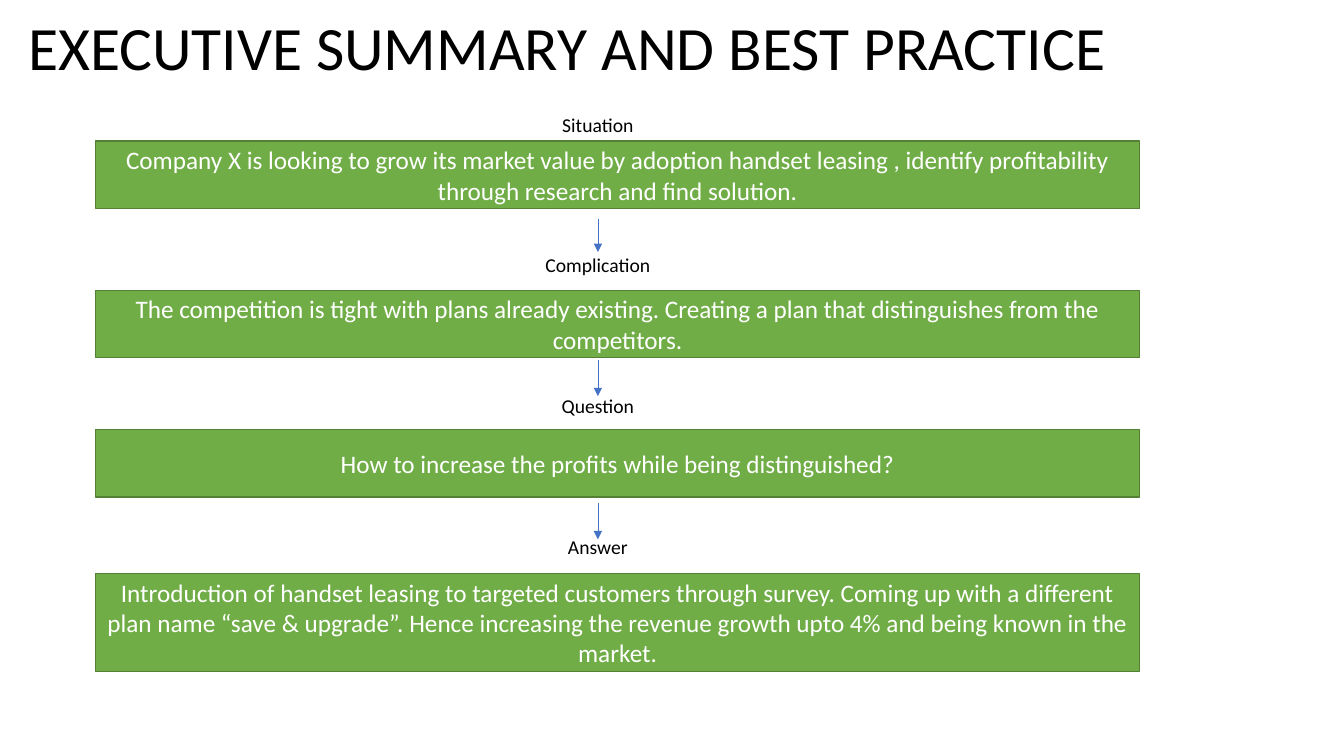
from pptx import Presentation
from pptx.dml.color import RGBColor
from pptx.enum.shapes import MSO_CONNECTOR as CONN, MSO_SHAPE as SHAPE
from pptx.enum.text import MSO_ANCHOR as ANCHOR, PP_ALIGN as ALIGN
from pptx.oxml.ns import qn
from pptx.util import Inches, Pt
from lxml import etree

COLORS = {"text": "000000", "box": "70AD47", "edge": "538035",
          "box_text": "FFFFFF", "arrow": "4472C4"}

LABEL_TOP, LABEL_PITCH = 1.1, 1.395
TEXT_LEFT, TEXT_WIDTH = 0.18, 11.5
BOX_LEFT, BOX_WIDTH = 0.95, 10.35
ARROW_X = TEXT_LEFT + TEXT_WIDTH / 2

# Label, statement, box top, box height
STEPS = [
    ("Situation", "Company X is looking to grow its market value by adoption handset "
     "leasing , identify profitability through research and find solution.", 1.4, 0.67),
    ("Complication", "The competition is tight with plans already existing. Creating a "
     "plan that distinguishes from the competitors.", 2.88, 0.67),
    ("Question", "How to increase the profits while being distinguished?", 4.26, 0.67),
    ("Answer", "Introduction of handset leasing to targeted customers through survey. "
     "Coming up with a different plan name “save & upgrade”. Hence increasing the "
     "revenue growth upto 4% and being known in the market.", 5.69, 0.97),
]
ARROWS = [(2.17, 2.5), (3.57, 3.93), (4.99, 5.35)]


def rgb(name):
    return RGBColor.from_string(COLORS[name])


def write(sp, text, size, color, align, spacing=1.0):
    tf = sp.text_frame
    tf.word_wrap = True
    tf.vertical_anchor = ANCHOR.MIDDLE
    p = tf.paragraphs[0]
    for name, value in {"alignment": align, "line_spacing": spacing}.items():
        setattr(p, name, value)
    r = p.add_run()
    r.text = text
    for name, value in {"name": "Calibri", "size": Pt(size)}.items():
        setattr(r.font, name, value)
    r.font.color.rgb = rgb(color)


def add_text(s, top, height, text, size, align):
    sp = s.shapes.add_textbox(Inches(TEXT_LEFT), Inches(top),
                              Inches(TEXT_WIDTH), Inches(height))
    write(sp, text, size, "text", align, 0.9)


def add_box(s, top, height, text):
    sp = s.shapes.add_shape(SHAPE.RECTANGLE, Inches(BOX_LEFT), Inches(top),
                            Inches(BOX_WIDTH), Inches(height))
    sp.shadow.inherit = False
    sp.fill.solid()
    sp.fill.fore_color.rgb = rgb("box")
    sp.line.color.rgb = rgb("edge")
    sp.line.width = Pt(1)
    write(sp, text, 18, "box_text", ALIGN.CENTER)


def add_arrow(s, start, end):
    line = s.shapes.add_connector(CONN.STRAIGHT, Inches(ARROW_X), Inches(start),
                                  Inches(ARROW_X), Inches(end))
    line.line.color.rgb = rgb("arrow")
    line.line.width = Pt(0.5)
    etree.SubElement(line.line._get_or_add_ln(), qn("a:tailEnd"), type="triangle")
    etree.SubElement(line._element.spPr, qn("a:effectLst"))


def main():
    prs = Presentation()
    prs.slide_width, prs.slide_height = Inches(13.33), Inches(7.5)
    s = prs.slides.add_slide(prs.slide_layouts[6])

    # Title
    add_text(s, -0.22, 1.45, "EXECUTIVE SUMMARY AND BEST PRACTICE", 44, ALIGN.LEFT)

    # Labelled statements
    for i, (label, statement, top, height) in enumerate(STEPS):
        add_text(s, LABEL_TOP + i * LABEL_PITCH, 0.3, label, 14, ALIGN.CENTER)
        add_box(s, top, height, statement)

    # Arrows between the steps
    for start, end in ARROWS:
        add_arrow(s, start, end)

    prs.save("out.pptx")


if __name__ == "__main__":
    main()
